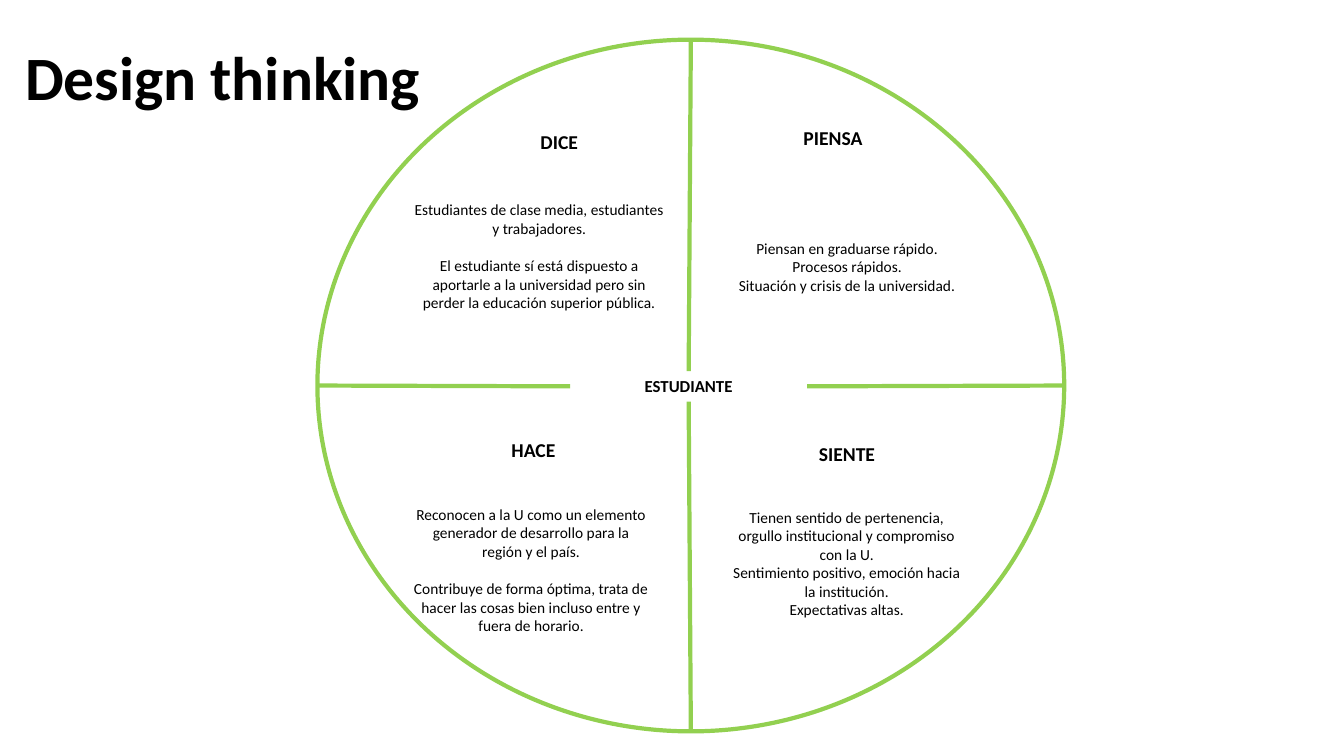
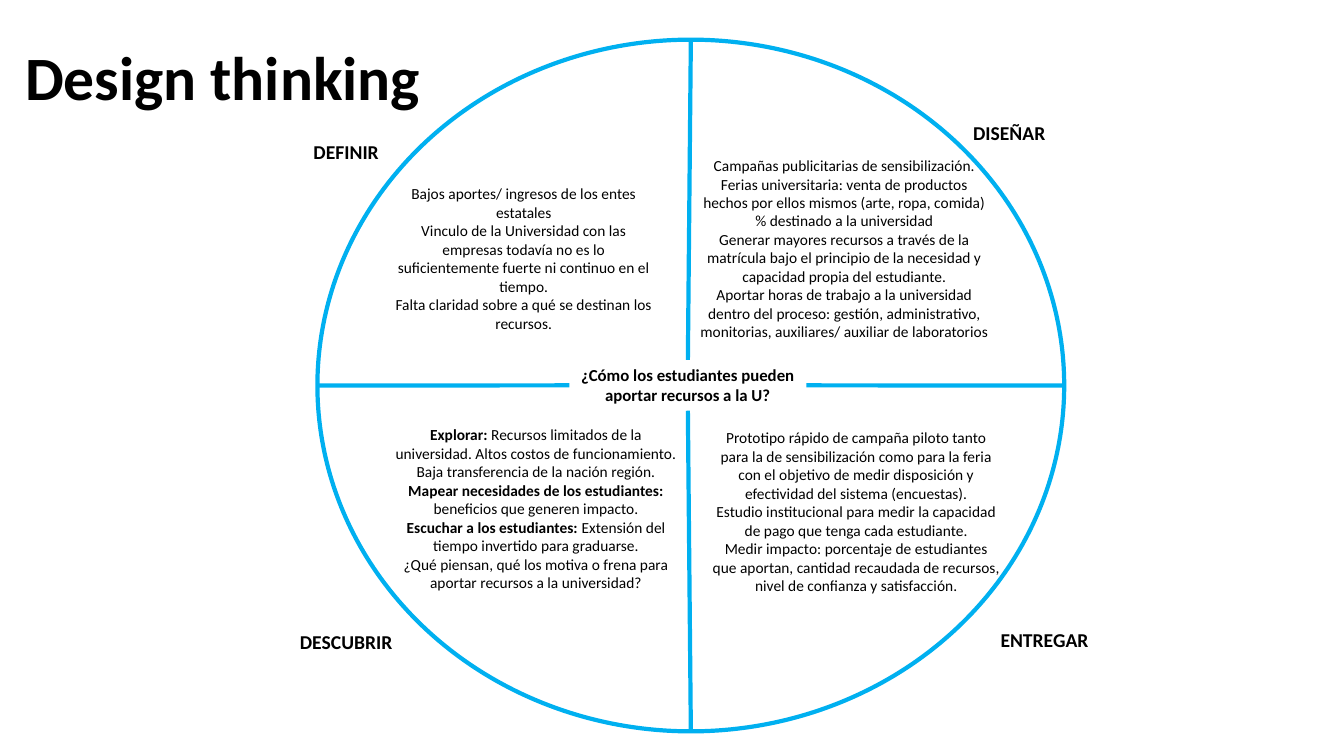
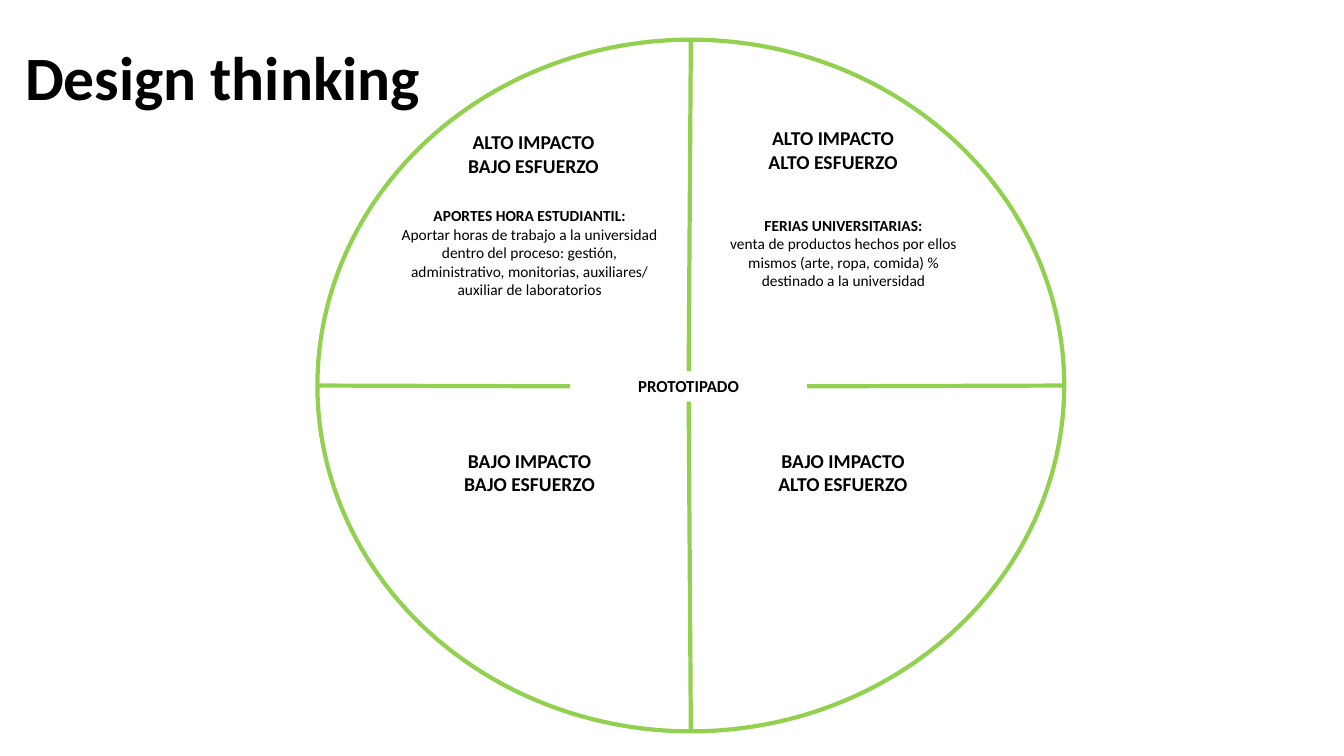
from pptx import Presentation
from pptx.dml.color import RGBColor
from pptx.enum.shapes import MSO_CONNECTOR as CONN, MSO_SHAPE as SHAPE
from pptx.enum.text import MSO_ANCHOR as ANCHOR, PP_ALIGN as ALIGN
from pptx.oxml.ns import qn
from pptx.util import Cm, Pt
from lxml.etree import SubElement

GREEN = RGBColor(0x92, 0xD0, 0x50)
BLUE = RGBColor(0x00, 0xB0, 0xF0)
BLACK = RGBColor(0, 0, 0)
FONT = "Calibri"
TITLE = "Design thinking"
TITLE_BOX = (0.38, 0.2, 29.21, 3.68)
CIRCLE = (8, 1, 18.82, 17.43)  # left, top, width, height in cm
LABEL_W = 5.97
LINE_H = {1: 0.86, 2: 1.45}    # label height by number of lines
BLANK = 13.4                   # points, one line of note text

# center: text, left, top, height
# labels: lines, left, top, width
# notes: paragraphs, left, top, width, height, space between paragraphs
# A paragraph given as a pair has a bold opening.
SLIDES = [
    {
        "color": GREEN,
        "center": ("ESTUDIANTE", 14.37, 9.35, 0.77),
        "labels": [
            (["DICE"], 11.76, 3.15, 4.67),
            (["PIENSA"], 18.01, 3.05, LABEL_W),
            (["HACE"], 10.46, 10.92, LABEL_W),
            (["SIENTE"], 18.36, 11, LABEL_W),
        ],
        "notes": [
            (["Estudiantes de clase media, estudiantes y trabajadores.",
              "El estudiante sí está dispuesto a aportarle a la universidad pero "
              "sin perder la educación superior pública."],
             10.16, 4.93, 6.86, 3.07, BLANK),
            (["Piensan en graduarse rápido.",
              "Procesos rápidos.",
              "Situación y crisis de la universidad."],
             17.68, 5.89, 7.34, 2.62, 0),
            (["Reconocen a la U como un elemento generador de desarrollo para la "
              "región y el país.",
              "Contribuye de forma óptima, trata de hacer las cosas bien incluso "
              "entre y fuera de horario."],
             10.16, 12.6, 6.45, 3.56, BLANK),
            (["Tienen sentido de pertenencia, orgullo institucional y compromiso "
              "con la U.",
              "Sentimiento positivo, emoción hacia la institución.",
              "Expectativas altas."],
             18.14, 12.67, 6.4, 3.07, 0),
        ],
    },
    {
        "color": BLUE,
        "center": ("¿Cómo los estudiantes pueden aportar recursos a la U?",
                   14.35, 9.07, 1.28),
        "labels": [
            (["DEFINIR"], 5.74, 3.4, LABEL_W),
            (["DISEÑAR"], 22.45, 2.92, LABEL_W),
            (["DESCUBRIR"], 5.74, 15.75, LABEL_W),
            (["ENTREGAR"], 23.34, 15.7, LABEL_W),
        ],
        "notes": [
            (["Bajos aportes/ ingresos de los entes estatales",
              "Vinculo de la Universidad con las empresas todavía no es lo "
              "suficientemente fuerte ni continuo en el tiempo.",
              "Falta claridad sobre a qué se destinan los recursos."],
             9.63, 4.52, 7.14, 4.01, 0),
            (["Campañas publicitarias de sensibilización.",
              "Ferias universitaria: venta de productos hechos por ellos mismos "
              "(arte, ropa, comida) % destinado a la universidad",
              "Generar mayores recursos a través de la matrícula bajo el "
              "principio de la necesidad y capacidad propia del estudiante.",
              "Aportar horas de trabajo a la universidad dentro del proceso: "
              "gestión, administrativo, monitorias, auxiliares/ auxiliar de "
              "laboratorios"],
             17.4, 3.81, 7.76, 5.44, 0),
            ([("Explorar: ", "Recursos limitados de la universidad. Altos costos "
               "de funcionamiento. Baja transferencia de la nación región."),
              ("Mapear necesidades de los estudiantes: ",
               "beneficios que generen impacto."),
              ("Escuchar a los estudiantes: ",
               "Extensión del tiempo invertido para graduarse."),
              "¿Qué piensan, qué los motiva o frena para aportar recursos a la "
              "universidad?"],
             9.63, 10.59, 7.76, 4.95, 0),
            (["Prototipo rápido de campaña piloto tanto para la de "
              "sensibilización como para la feria con el objetivo de medir "
              "disposición y efectividad del sistema (encuestas).",
              "Estudio institucional para medir la capacidad de pago que tenga "
              "cada estudiante.",
              "Medir impacto: porcentaje de estudiantes que aportan, cantidad "
              "recaudada de recursos, nivel de confianza y satisfacción."],
             17.7, 10.67, 7.76, 5.44, 0),
        ],
    },
    {
        "color": GREEN,
        "center": ("PROTOTIPADO", 14.37, 9.35, 0.77),
        "labels": [
            (["ALTO IMPACTO", "BAJO ESFUERZO"], 10.46, 3.15, LABEL_W),
            (["ALTO IMPACTO", "ALTO ESFUERZO"], 18.01, 3.05, LABEL_W),
            (["BAJO IMPACTO", "BAJO ESFUERZO"], 10.36, 11.18, LABEL_W),
            (["BAJO IMPACTO", "ALTO ESFUERZO"], 18.26, 11.18, LABEL_W),
        ],
        "notes": [
            ([("APORTES HORA ESTUDIANTIL:", ""),
              "Aportar horas de trabajo a la universidad dentro del proceso: "
              "gestión, administrativo, monitorias, auxiliares/ auxiliar de "
              "laboratorios"],
             9.78, 5.08, 7.14, 3.07, 0),
            ([("FERIAS UNIVERSITARIAS:", ""),
              "venta de productos hechos por ellos mismos (arte, ropa, comida) % "
              "destinado a la universidad"],
             17.83, 5.31, 6.86, 2.13, 0),
        ],
    },
]


def set_font(p, size, bold):
    f = p.font
    f.name, f.size, f.bold = FONT, Pt(size), bold
    f.color.rgb = BLACK


def add_text(s, paragraphs, box, size, bold=False, gap=0):
    tf = s.shapes.add_textbox(*map(Cm, box)).text_frame
    tf.word_wrap = True
    for i, content in enumerate(paragraphs):
        p = tf.paragraphs[0] if i == 0 else tf.add_paragraph()
        p.alignment = ALIGN.CENTER
        p.space_before = Pt(gap if i else 0)
        set_font(p, size, bold)
        lead, rest = ("", content) if isinstance(content, str) else content
        if lead:
            r = p.add_run()
            r.text, r.font.bold = lead, True
        if rest:
            p.add_run().text = rest


def add_spoke(s, start, end, color):
    line = s.shapes.add_connector(CONN.STRAIGHT, *map(Cm, start + end))
    line.line.color.rgb = color
    line.line.width = Pt(3)
    SubElement(line._element.spPr, qn("a:effectLst"))


def edge_midpoints(left, top, width, height):
    """Top, bottom, right and left midpoints of a box."""
    x, y = left + width / 2, top + height / 2
    return [(x, top), (x, top + height), (left + width, y), (left, y)]


def add_wheel(s, color, center):
    circle = s.shapes.add_shape(SHAPE.OVAL, *map(Cm, CIRCLE))
    circle.shadow.inherit = False
    circle.fill.background()
    circle.line.color.rgb = color
    circle.line.width = Pt(3)
    text, left, top, height = center
    box = (left, top, LABEL_W, height)
    add_text(s, [text], box, 12, bold=True)
    for start, end in zip(edge_midpoints(*CIRCLE), edge_midpoints(*box)):
        add_spoke(s, start, end, color)


def add_title(s):
    title = s.shapes.title
    title.left, title.top, title.width, title.height = map(Cm, TITLE_BOX)
    tf = title.text_frame
    tf.text = TITLE
    tf.vertical_anchor = ANCHOR.MIDDLE
    p = tf.paragraphs[0]
    p.alignment = ALIGN.LEFT
    p.line_spacing = 0.9
    set_font(p, 44, True)


def main():
    prs = Presentation()
    prs.slide_width, prs.slide_height = Cm(33.87), Cm(19.05)
    for data in SLIDES:
        s = prs.slides.add_slide(prs.slide_layouts[5])
        add_title(s)
        add_wheel(s, data["color"], data["center"])
        for lines, left, top, width in data["labels"]:
            add_text(s, lines, (left, top, width, LINE_H[len(lines)]), 14, bold=True)
        for paragraphs, *box, gap in data["notes"]:
            add_text(s, paragraphs, box, 11, gap=gap)
    prs.save("out.pptx")


if __name__ == "__main__":
    main()
